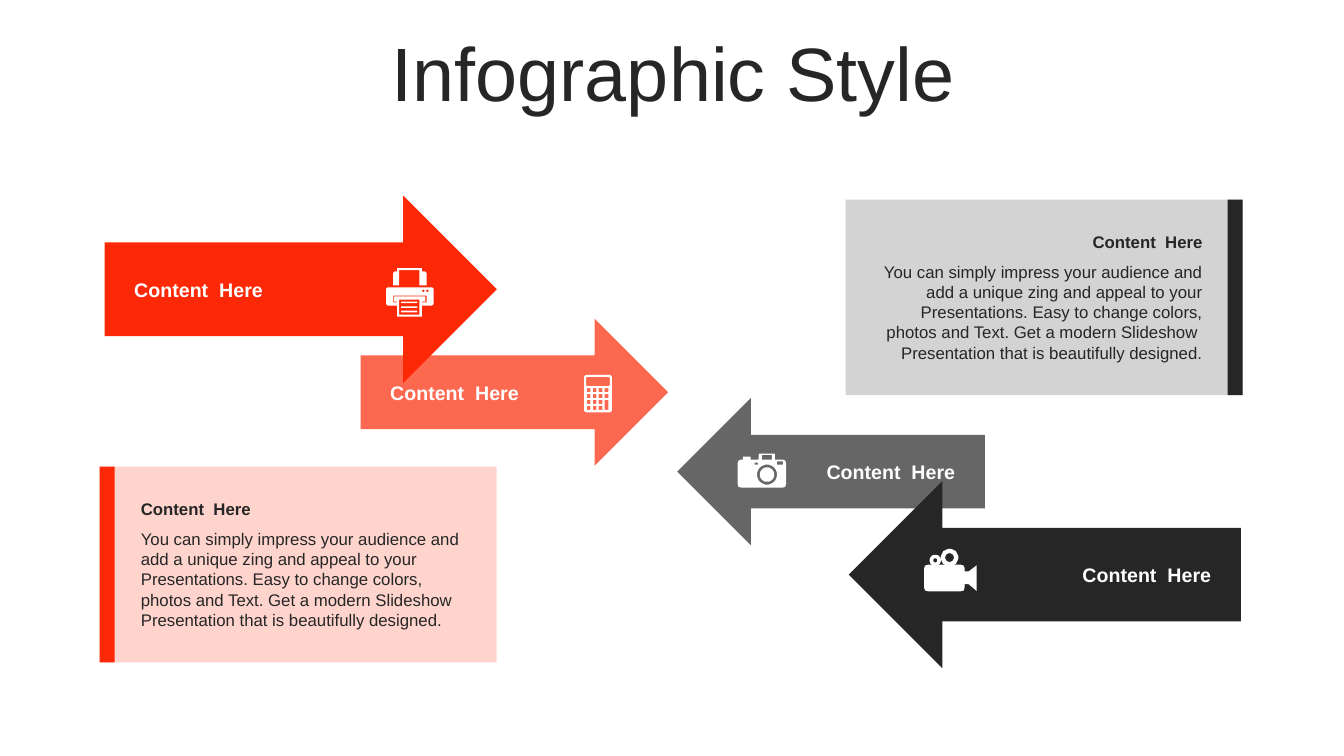
"""Build the Infographic Style slide with crossing arrows and two text panels."""
from dataclasses import dataclass
from math import cos, pi, sin
from typing import Any

from lxml.etree import SubElement
from pptx import Presentation
from pptx.dml.color import RGBColor as RGB
from pptx.enum.shapes import MSO_SHAPE as Preset
from pptx.enum.text import MSO_ANCHOR as Anchor, MSO_AUTO_SIZE as AutoSize, PP_ALIGN as Align
from pptx.oxml.ns import qn
from pptx.util import Cm, Pt

Contour = list[tuple[float, float]]
Part = list[Contour]


@dataclass(frozen=True)
class Theme:
    """Colours, font and type sizes of the slide."""
    red: str = "FD2906"
    dark: str = "262626"
    white: str = "FFFFFF"
    font: str = "Arial"
    title: int = 54
    label: int = 14
    body: int = 12


@dataclass(frozen=True)
class Arrow:
    """A block arrow with its label and icon; lengths in cm."""
    x: float
    y: float
    w: float
    h: float
    color: str
    opacity: int
    points_right: bool
    icon: list[Part]
    icon_x: float
    icon_y: float


@dataclass(frozen=True)
class Panel:
    """A tinted text panel with a solid bar on one side; lengths in cm."""
    x: float
    y: float
    color: str
    bar_dx: float
    text_dx: float
    text_w: float
    align: Align


THEME = Theme()
HEADING = "Content  Here"
BODY = ("You can simply impress your audience and add a unique zing and appeal to your "
        "Presentations. Easy to change colors, photos and Text. Get a modern Slideshow  "
        "Presentation that is beautifully designed.")
PANEL_W, PANEL_H, BAR_W = 10.01, 4.93, 0.38
HEADING_DY, HEADING_H, BODY_H = 0.68, 0.76, 2.82
LABEL_W, LABEL_H = 4.24, 0.86
ICON_UNIT = Cm(0.01)


def outline(*corners: tuple[float, ...]) -> Contour:
    """Return a polygon whose (x, y, radius) corners are rounded."""
    points: Contour = []
    for i, (x, y, *radius) in enumerate(corners):
        if not radius:
            points.append((x, y))
            continue
        ends = []
        for nx, ny, *_ in (corners[i - 1], corners[(i + 1) % len(corners)]):
            reach = radius[0] / (abs(nx - x) + abs(ny - y))
            ends.append((x + (nx - x) * reach, y + (ny - y) * reach))
        (ax, ay), (bx, by) = ends
        for t in (0, 0.25, 0.5, 0.75, 1):
            a, c, b = (1 - t) ** 2, 2 * t * (1 - t), t * t
            points.append((a * ax + c * x + b * bx, a * ay + c * y + b * by))
    return points


def box(x: float, y: float, w: float, h: float, r: float = 1) -> Contour:
    """Return a rectangle with rounded corners."""
    return outline((x, y, r), (x + w, y, r), (x + w, y + h, r), (x, y + h, r))


def circle(x: float, y: float, r: float, steps: int = 32) -> Contour:
    """Return a circle as a polygon."""
    angles = [2 * pi * i / steps for i in range(steps)]
    return [(x + r * cos(a), y + r * sin(a)) for a in angles]


PRINTER = [[
    outline((28, 0), (90, 0), (90, 8), (102, 8, 8), (102, 43), (84, 43), (84, 5),
            (33, 5), (33, 43), (18, 43), (18, 8, 8), (28, 8)),
    outline((0, 48, 8), (120, 48, 8), (120, 94, 8), (90, 94), (90, 122), (28, 122),
            (28, 94), (0, 94, 8)),
    outline((18, 69), (18, 86), (28, 86), (28, 84), (20, 84), (20, 71), (99, 71),
            (99, 84), (90, 84), (90, 86), (102, 86), (102, 69)),
    circle(94, 57, 3), circle(104, 57, 3), box(33, 79, 51, 38),
    *[box(38, y, 41, 4) for y in (84, 96, 107)],
]]
CALCULATOR = [[
    box(0, 0, 70, 94, 7), box(5, 5, 60, 23, 5), box(52, 63, 9, 25),
    *[box(7 + 15 * col, 33 + 15 * row, 9, 10)
      for row in range(4) for col in range(4) if col < 3 or row < 2],
]]
CAMERA = [[
    outline((0, 15, 10), (13, 15), (13, 8, 2), (33, 8, 2), (33, 15), (53, 15), (53, 0, 3),
            (94, 0, 3), (94, 15), (122, 15, 10), (122, 86, 10), (0, 86, 10)),
    box(61, 3, 25, 12), box(43, 23, 8, 5), box(99, 20, 15, 8),
    circle(74, 53, 25), circle(74, 53, 18),
]]
VIDEO_CAMERA = [
    [outline((0, 41, 10), (102, 41, 10), (102, 58), (112, 58), (132, 43), (132, 107),
             (112, 90), (102, 90), (102, 108, 10), (0, 108, 10))],
    [circle(64, 23, 22), circle(64, 23, 11), circle(28, 30, 14), circle(28, 30, 5)],
]

ARROWS = [
    Arrow(9.09, 8.03, 7.75, 3.71, THEME.red, 70, True, CALCULATOR, 14.72, 9.45),
    Arrow(2.64, 4.93, 9.88, 4.72, THEME.red, 100, True, PRINTER, 9.73, 6.76),
    Arrow(17.07, 10.03, 7.75, 3.71, THEME.dark, 70, False, CAMERA, 18.59, 11.43),
    Arrow(21.39, 12.12, 9.88, 4.72, THEME.dark, 100, False, VIDEO_CAMERA, 23.29, 13.82),
]
PANELS = [
    Panel(2.51, 11.76, THEME.red, 0, 0.79, 8.66, Align.LEFT),
    Panel(21.31, 5.03, THEME.dark, PANEL_W - BAR_W, 0.51, 8.74, Align.RIGHT),
]


def paint(s: Any, color: str, opacity: int = 100) -> None:
    """Give a shape a flat fill without line or shadow."""
    s.shadow.inherit = False
    s.line.fill.background()
    s.fill.solid()
    s.fill.fore_color.rgb = RGB.from_string(color)
    if opacity < 100:
        tint = s._element.spPr.find(qn("a:solidFill"))[0]
        SubElement(tint, qn("a:alpha")).set("val", str(opacity * 1000))


def add_block(shapes: Any, kind: Preset, x: float, y: float, w: float, h: float,
              color: str, opacity: int = 100) -> None:
    """Add a filled preset shape."""
    paint(shapes.add_shape(kind, Cm(x), Cm(y), Cm(w), Cm(h)), color, opacity)


def add_text(shapes: Any, text: str, x: float, y: float, w: float, h: float, size: int,
             color: str, align: Align, bold: bool = False, anchor: Anchor = Anchor.TOP,
             spacing: float = 1.0) -> None:
    """Add a wrapped one-paragraph text box."""
    tf = shapes.add_textbox(Cm(x), Cm(y), Cm(w), Cm(h)).text_frame
    p = tf.paragraphs[0]
    r = p.add_run()
    r.text = text
    formats = {
        tf: {"word_wrap": True, "auto_size": AutoSize.NONE, "vertical_anchor": anchor},
        p: {"alignment": align, "line_spacing": spacing},
        r.font: {"name": THEME.font, "size": Pt(size), "bold": bold},
    }
    for target, values in formats.items():
        for name, value in values.items():
            setattr(target, name, value)
    r.font.color.rgb = RGB.from_string(color)


def add_icon(shapes: Any, icon: list[Part], x: float, y: float) -> None:
    """Add each part of an icon as one white freeform."""
    for part in icon:
        builder = shapes.build_freeform(*part[0][0], scale=ICON_UNIT)
        for contour in part:
            builder.move_to(*contour[0])
            builder.add_line_segments(contour[1:], close=True)
        paint(builder.convert_to_shape(Cm(x), Cm(y)), THEME.white)


def add_panel(shapes: Any, panel: Panel) -> None:
    """Add a panel with its bar, heading and body text."""
    add_block(shapes, Preset.RECTANGLE, panel.x, panel.y, PANEL_W, PANEL_H, panel.color, 20)
    add_block(shapes, Preset.RECTANGLE, panel.x + panel.bar_dx, panel.y, BAR_W, PANEL_H,
              panel.color)
    x, y = panel.x + panel.text_dx, panel.y + HEADING_DY
    add_text(shapes, HEADING, x, y, panel.text_w, HEADING_H, THEME.body, THEME.dark,
             panel.align, bold=True)
    add_text(shapes, BODY, x, y + HEADING_H, panel.text_w, BODY_H, THEME.body, THEME.dark,
             panel.align)


def main() -> None:
    """Draw the slide and save it."""
    prs = Presentation()
    prs.slide_width, prs.slide_height = Cm(33.87), Cm(19.05)
    shapes = prs.slides.add_slide(prs.slide_layouts[6]).shapes
    add_text(shapes, "Infographic Style", 0.89, 0.94, 32.16, 2.01, THEME.title, THEME.dark,
             Align.CENTER, anchor=Anchor.MIDDLE, spacing=0.9)
    for a in ARROWS:
        kind = Preset.RIGHT_ARROW if a.points_right else Preset.LEFT_ARROW
        add_block(shapes, kind, a.x, a.y, a.w, a.h, a.color, a.opacity)
    for panel in PANELS:
        add_panel(shapes, panel)
    for a in ARROWS:
        label_x = a.x if a.points_right else a.x + a.w - LABEL_W
        add_text(shapes, HEADING, label_x, a.y + (a.h - LABEL_H) / 2, LABEL_W, LABEL_H,
                 THEME.label, THEME.white, Align.RIGHT if a.points_right else Align.LEFT,
                 bold=True, anchor=Anchor.MIDDLE)
        add_icon(shapes, a.icon, a.icon_x, a.icon_y)
    prs.save("out.pptx")


if __name__ == "__main__":
    main()
